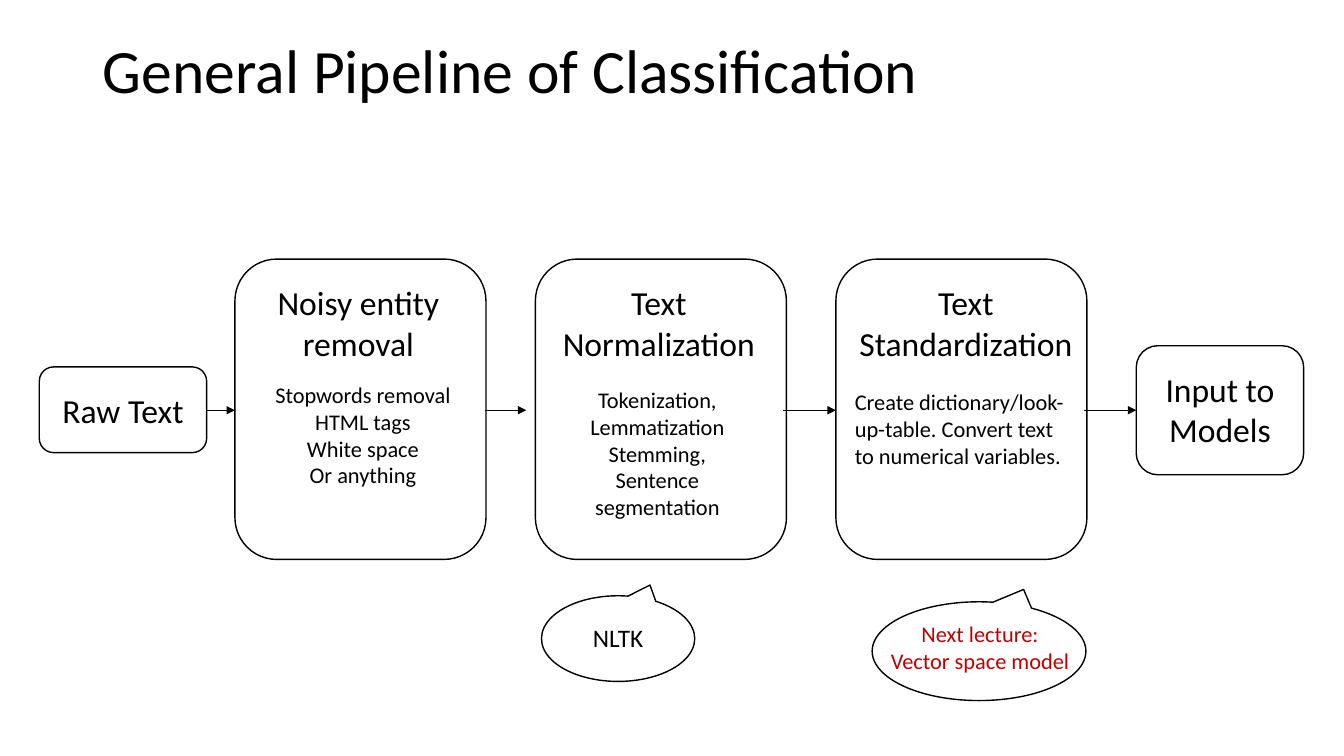
from lxml.etree import SubElement
from pptx import Presentation
from pptx.dml.color import RGBColor
from pptx.enum.shapes import MSO_CONNECTOR, MSO_SHAPE
from pptx.enum.text import MSO_ANCHOR, MSO_AUTO_SIZE, PP_ALIGN
from pptx.oxml.ns import qn
from pptx.util import Inches, Pt

BLACK, WHITE, RED = "000000", "FFFFFF", "C00000"
FONT = "Calibri"
ARROW_Y = 4.07


def rgb(value):
    return RGBColor.from_string(value)


def set_attrs(obj, values):
    for name, value in values.items():
        setattr(obj, name, value)


def write(tf, lines, size, color=BLACK, align=PP_ALIGN.CENTER,
          anchor=MSO_ANCHOR.TOP, spacing=None):
    set_attrs(tf, {"word_wrap": True, "auto_size": MSO_AUTO_SIZE.NONE,
                   "vertical_anchor": anchor})
    for i, line in enumerate(lines):
        p = tf.add_paragraph() if i else tf.paragraphs[0]
        set_attrs(p, {"alignment": align, "line_spacing": spacing})
        r = p.add_run()
        r.text = line
        set_attrs(r.font, {"name": FONT, "size": Pt(size)})
        r.font.color.rgb = rgb(color)


def add_text(s, box, lines, size, **style):
    sp = s.shapes.add_textbox(*map(Inches, box))
    write(sp.text_frame, lines, size, **style)


def add_outline(s, kind, box, fill=None):
    sp = s.shapes.add_shape(kind, *map(Inches, box))
    sp.shadow.inherit = False
    if fill:
        sp.fill.solid()
        sp.fill.fore_color.rgb = rgb(fill)
    else:
        sp.fill.background()
    sp.line.color.rgb = rgb(BLACK)
    sp.line.width = Pt(1)
    return sp


def add_title(s, box, text):
    sp = s.shapes.title
    set_attrs(sp, dict(zip(("left", "top", "width", "height"), map(Inches, box))))
    write(sp.text_frame, [text], 44, align=PP_ALIGN.LEFT,
          anchor=MSO_ANCHOR.MIDDLE, spacing=0.9)


def add_stage(s, box, name, name_w, name_h=0.91):
    """Rounded box with its name near the top."""
    x, y, w, h = box
    add_outline(s, MSO_SHAPE.ROUNDED_RECTANGLE, box, WHITE)
    add_text(s, (x + 0.09, y + 0.18, name_w, name_h), [name], 24)


def add_arrow(s, x1, x2):
    cx = s.shapes.add_connector(MSO_CONNECTOR.STRAIGHT, Inches(x1), Inches(ARROW_Y),
                                Inches(x2), Inches(ARROW_Y))
    cx.line.color.rgb = rgb(BLACK)
    cx.line.width = Pt(0.5)
    SubElement(cx.line._get_or_add_ln(), qn("a:tailEnd"), type="triangle")
    SubElement(cx._element.spPr, qn("a:effectLst"))


def add_callout(s, box, lines, size, text_w, text_h, dx=0, dy=0, color=BLACK):
    """Ellipse pointing up, with text offset from its centre."""
    x, y, w, h = box
    sp = add_outline(s, MSO_SHAPE.OVAL_CALLOUT, box)
    sp.rotation = 180
    text_box = (x + (w - text_w) / 2 + dx, y + (h - text_h) / 2 + dy, text_w, text_h)
    add_text(s, text_box, lines, size, color=color)


prs = Presentation()
prs.slide_width, prs.slide_height = Inches(13.33), Inches(7.5)
s = prs.slides.add_slide(prs.slide_layouts[5])
add_title(s, (0.92, 0, 11.5, 1.45), "General Pipeline of Classification")

# Input and output ends
add_stage(s, (0.39, 3.64, 1.66, 0.85), "Raw Text", 1.48, 0.5)
add_stage(s, (11.27, 3.43, 1.66, 1.28), "Input to Models", 1.48)

# Processing stages: name, name width, detail offset, alignment, detail lines
STAGES = [
    ("Noisy entity removal", 2.27, (0.12, 1.16), PP_ALIGN.CENTER,
     ["Stopwords removal", "HTML tags", "White space", "Or anything"]),
    ("Text Normalization", 2.27, (0.06, 1.21), PP_ALIGN.CENTER,
     ["Tokenization,", "Lemmatization", "Stemming,", "Sentence segmentation"]),
    ("Text Standardization", 2.4, (0.09, 1.23), PP_ALIGN.LEFT,
     ["Create dictionary/look-up-table. Convert text to numerical variables."]),
]
STAGE_X, STAGE_Y, STAGE_W, STAGE_H, PITCH = 2.33, 2.57, 2.49, 2.98, 2.98
for i, (name, name_w, (dx, dy), align, details) in enumerate(STAGES):
    x = STAGE_X + i * PITCH
    add_stage(s, (x, STAGE_Y, STAGE_W, STAGE_H), name, name_w)
    add_text(s, (x + dx, STAGE_Y + dy, 2.3, 1.45), details, 16, align=align)

# Arrows between stages
for x1, x2 in [(2.05, 2.33), (4.81, 5.22), (7.77, 8.29), (10.75, 11.27)]:
    add_arrow(s, x1, x2)

# Callouts
add_callout(s, (5.37, 5.91, 1.52, 0.85), ["NLTK"], 18, 1.26, 0.42)
add_callout(s, (8.65, 5.97, 2.12, 0.98), ["Next lecture:", "Vector space model"],
            16, 2.3, 0.64, dx=0.01, dy=-0.04, color=RED)

prs.save("out.pptx")
